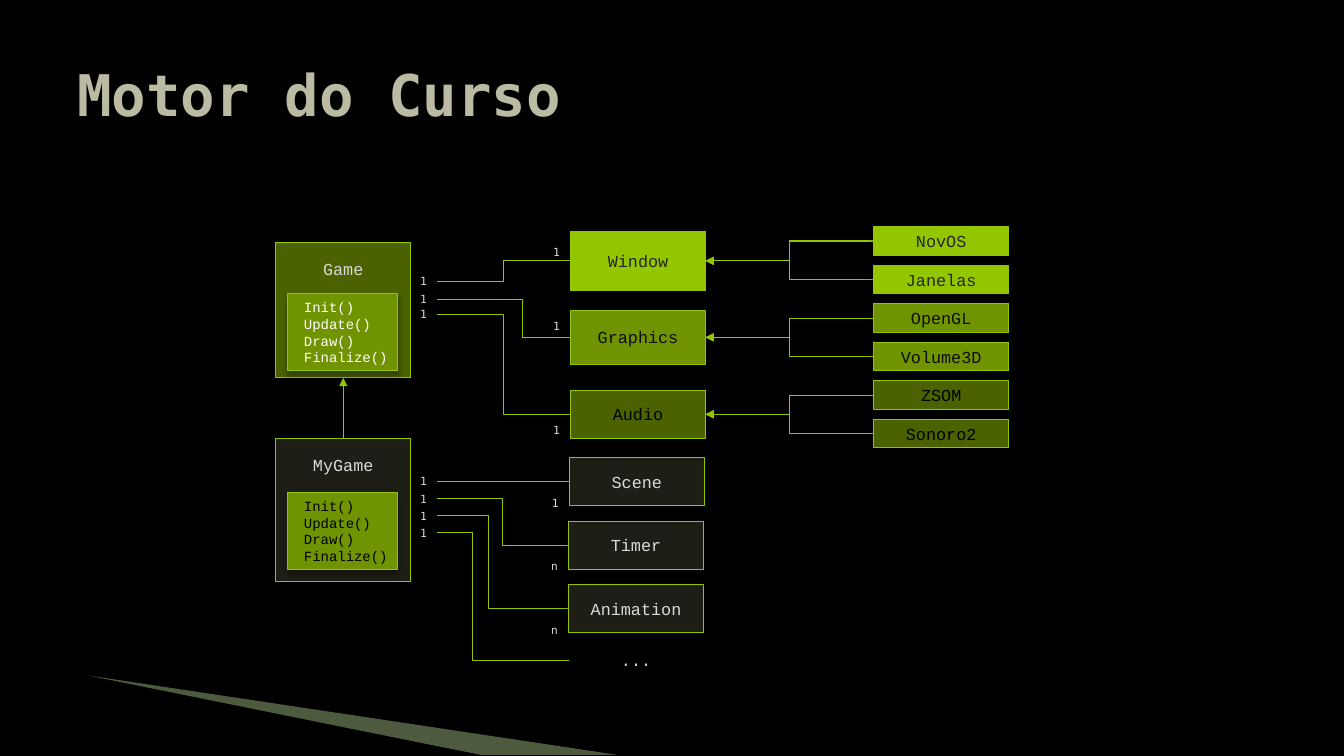
"""Builds the slide "Motor do Curso": class diagram of a game engine."""
import lxml.etree
import pptx
import pptx.dml.color
import pptx.enum.shapes
import pptx.enum.text
import pptx.oxml.ns
import pptx.util
from pptx.util import Cm

TITLE = "Motor do Curso"
METHODS = ["Init()", "Update()", "Draw()", "Finalize()"]

CLASSES = [
    {"name": "Game", "top": 6.12, "height": 3.4, "fill": "moss", "methods_top": 7.39,
     "methods_ink": "white", "ports": [7.09, 7.54, 7.92]},
    {"name": "MyGame", "top": 11.05, "height": 3.61, "fill": "coal", "methods_top": 12.4,
     "methods_ink": "black", "ports": [12.14, 12.57, 13.0, 13.43]},
]

# name, left, top, height, fill, ink, bend, multiplicity, multiplicity top, adapters
PARTS = [
    ("Window", 14.38, 5.84, 1.47, "lime", "dark", 0.5, "1", 6.05, ["NovOS", "Janelas"]),
    ("Graphics", 14.38, 7.82, 1.36, "leaf", "night", 0.64, "1", 7.92, ["OpenGL", "Volume3D"]),
    ("Audio", 14.38, 9.83, 1.22, "moss", "black", 0.5, "1", 10.54, ["ZSOM", "Sonoro2"]),
    ("Scene", 14.35, 11.53, 1.22, "coal", "pale", 0.5, "1", 12.37, []),
    ("Timer", 14.33, 13.13, 1.22, "coal", "pale", 0.5, "n", 13.97, []),
    ("Animation", 14.33, 14.73, 1.22, "coal", "pale", 0.39, "n", 15.57, []),
    ("...", 14.33, 16.33, 0.61, None, "pale", 0.27, None, None, []),
]

WEDGES = [
    ("mist", 40, [(2.21, 17.02), (15.54, 19.02), (12.09, 19.02)]),
    ("black", 100, [(2.13, 17.07), (12.09, 19.02), (10.01, 19.02)]),
]

THEME = {
    "colors": {"lime": "94C600", "leaf": "6F9400", "moss": "4A6300", "coal": "1F1E16",
               "mist": "C3E19D", "sand": "BBBAA2", "pale": "D9D9D9", "dark": "262626",
               "night": "0D0D0D", "black": "000000", "white": "FFFFFF"},
    "title": ("DejaVu Sans Mono", 41),
    "box": ("Courier New", 12),
    "method": ("Courier New", 10),
    "tag": ("DejaVu Sans Mono", 8),
    "line": 0.75,
}

BOX_WIDTH = 3.4
CLASS_LEFT, METHODS_LEFT, METHODS_WIDTH, METHODS_HEIGHT = 6.95, 7.24, 2.79, 1.96
PORT_X, PORT_TAG_X, PART_TAG_GAP = 11.02, 10.34, 0.69
TAG_WIDTH, TAG_HEIGHT = 0.69, 0.61
ADAPTER_LEFT, ADAPTER_TOP, ADAPTER_PITCH, ADAPTER_HEIGHT = 22.02, 5.72, 0.97, 0.71
INSETS = (0.2, 0.13, 0.2, 0.13)

ALIGN = pptx.enum.text.PP_ALIGN
ANCHOR = pptx.enum.text.MSO_ANCHOR
CONNECTOR = pptx.enum.shapes.MSO_CONNECTOR


def color(name):
    return pptx.dml.color.RGBColor.from_string(THEME["colors"][name])


def add_node(parent, tag, **attributes):
    return lxml.etree.SubElement(parent, pptx.oxml.ns.qn(tag), attributes)


def write(shape, lines, style, ink, align=ALIGN.CENTER, anchor=ANCHOR.MIDDLE,
          insets=INSETS, wrap=True, bold=False):
    frame = shape.text_frame
    frame.word_wrap = wrap
    frame.vertical_anchor = anchor
    (frame.margin_left, frame.margin_top,
     frame.margin_right, frame.margin_bottom) = map(Cm, insets)
    for index, line in enumerate(lines):
        paragraph = frame.paragraphs[0] if index == 0 else frame.add_paragraph()
        paragraph.alignment = align
        run = paragraph.add_run()
        run.text = line
        font_name, size = THEME[style]
        run.font.name, run.font.size, run.font.bold = font_name, pptx.util.Pt(size), bold
        run.font.color.rgb = color(ink)


def add_text(slide, area, *text, **layout):
    write(slide.shapes.add_textbox(*map(Cm, area)), *text, **layout)


def add_box(slide, area, fill, *text, **layout):
    box = slide.shapes.add_shape(pptx.enum.shapes.MSO_SHAPE.RECTANGLE, *map(Cm, area))
    box.fill.solid()
    box.fill.fore_color.rgb = color(fill)
    box.line.color.rgb = color("lime")
    box.line.width = pptx.util.Pt(THEME["line"])
    box.shadow.inherit = False
    effects = box.element.spPr.find(pptx.oxml.ns.qn("a:effectLst"))
    shadow = add_node(effects, "a:outerShdw", blurRad="50800", dist="38100",
                      dir="5400000", rotWithShape="0")
    add_node(add_node(shadow, "a:srgbClr", val="000000"), "a:alpha", val="35000")
    write(box, *text, **layout)


def add_link(slide, start, end, bend=None, arrow=False):
    kind = CONNECTOR.STRAIGHT if bend is None else CONNECTOR.ELBOW
    link = slide.shapes.add_connector(kind, *map(Cm, start + end))
    link.line.color.rgb = color("lime")
    link.line.width = pptx.util.Pt(THEME["line"])
    properties = link.element.spPr
    if bend is not None:
        guides = properties.find(".//" + pptx.oxml.ns.qn("a:avLst"))
        add_node(guides, "a:gd", name="adj1", fmla=f"val {round(bend * 100000)}")
    if arrow:
        add_node(properties.find(pptx.oxml.ns.qn("a:ln")), "a:headEnd", type="triangle")
    add_node(properties, "a:effectLst")


def add_tag(slide, left, top, text):
    add_text(slide, (left, top, TAG_WIDTH, TAG_HEIGHT), [text], "tag", "pale",
             align=ALIGN.LEFT, anchor=ANCHOR.TOP, insets=(0.25, 0.13, 0.25, 0.13), wrap=False)


def add_wedge(slide, fill, opacity, corners):
    points = [(Cm(x), Cm(y)) for x, y in corners]
    builder = slide.shapes.build_freeform(*points[0])
    builder.add_line_segments(points[1:], close=True)
    wedge = builder.convert_to_shape()
    wedge.shadow.inherit = False
    wedge.line.fill.background()
    wedge.fill.solid()
    wedge.fill.fore_color.rgb = color(fill)
    shade = wedge.element.spPr.find(".//" + pptx.oxml.ns.qn("a:srgbClr"))
    add_node(shade, "a:alpha", val=str(opacity * 1000))


def add_class(slide, item):
    add_box(slide, (CLASS_LEFT, item["top"], BOX_WIDTH, item["height"]), item["fill"],
            [item["name"]], "box", "pale", anchor=ANCHOR.TOP, insets=(0.2, 0.41, 0.2, 0.13))
    add_box(slide, (METHODS_LEFT, item["methods_top"], METHODS_WIDTH, METHODS_HEIGHT), "leaf",
            METHODS, "method", item["methods_ink"], align=ALIGN.LEFT, insets=(0.42, 0, 0, 0))
    for port in item["ports"]:
        add_tag(slide, PORT_TAG_X, port - TAG_HEIGHT / 2, "1")


def add_part(slide, part, port, first_adapter):
    name, left, top, height, fill, ink, bend, count, count_top, adapters = part
    area = (left, top, BOX_WIDTH, height)
    middle = top + height / 2
    add_link(slide, (PORT_X, port), (left, middle), bend)
    if fill:
        add_box(slide, area, fill, [name], "box", ink)
    else:
        add_text(slide, area, [name], "box", ink)
    if count:
        add_tag(slide, left - PART_TAG_GAP, count_top, count)
    for row, adapter in enumerate(adapters, first_adapter):
        adapter_top = ADAPTER_TOP + row * ADAPTER_PITCH
        add_link(slide, (left + BOX_WIDTH, middle),
                 (ADAPTER_LEFT, adapter_top + ADAPTER_HEIGHT / 2), 0.5, arrow=True)
        add_box(slide, (ADAPTER_LEFT, adapter_top, BOX_WIDTH, ADAPTER_HEIGHT), fill,
                [adapter], "box", ink)
    return first_adapter + len(adapters)


def main():
    deck = pptx.Presentation()
    deck.slide_width, deck.slide_height = Cm(33.87), Cm(19.05)
    slide = deck.slides.add_slide(deck.slide_layouts[6])
    slide.background.fill.solid()
    slide.background.fill.fore_color.rgb = color("black")

    for wedge in WEDGES:
        add_wedge(slide, *wedge)
    add_text(slide, (1.7, 0.76, 30.48, 3.18), [TITLE], "title", "sand", align=ALIGN.LEFT,
             insets=(0.25, 0.13, 0.25, 0.13), bold=True)

    for item in CLASSES:
        add_class(slide, item)
    game, my_game = CLASSES
    center = CLASS_LEFT + BOX_WIDTH / 2
    add_link(slide, (center, game["top"] + game["height"]), (center, my_game["top"]), arrow=True)

    next_adapter = 0
    for part, port in zip(PARTS, game["ports"] + my_game["ports"]):
        next_adapter = add_part(slide, part, port, next_adapter)
    deck.save("out.pptx")


if __name__ == "__main__":
    main()
